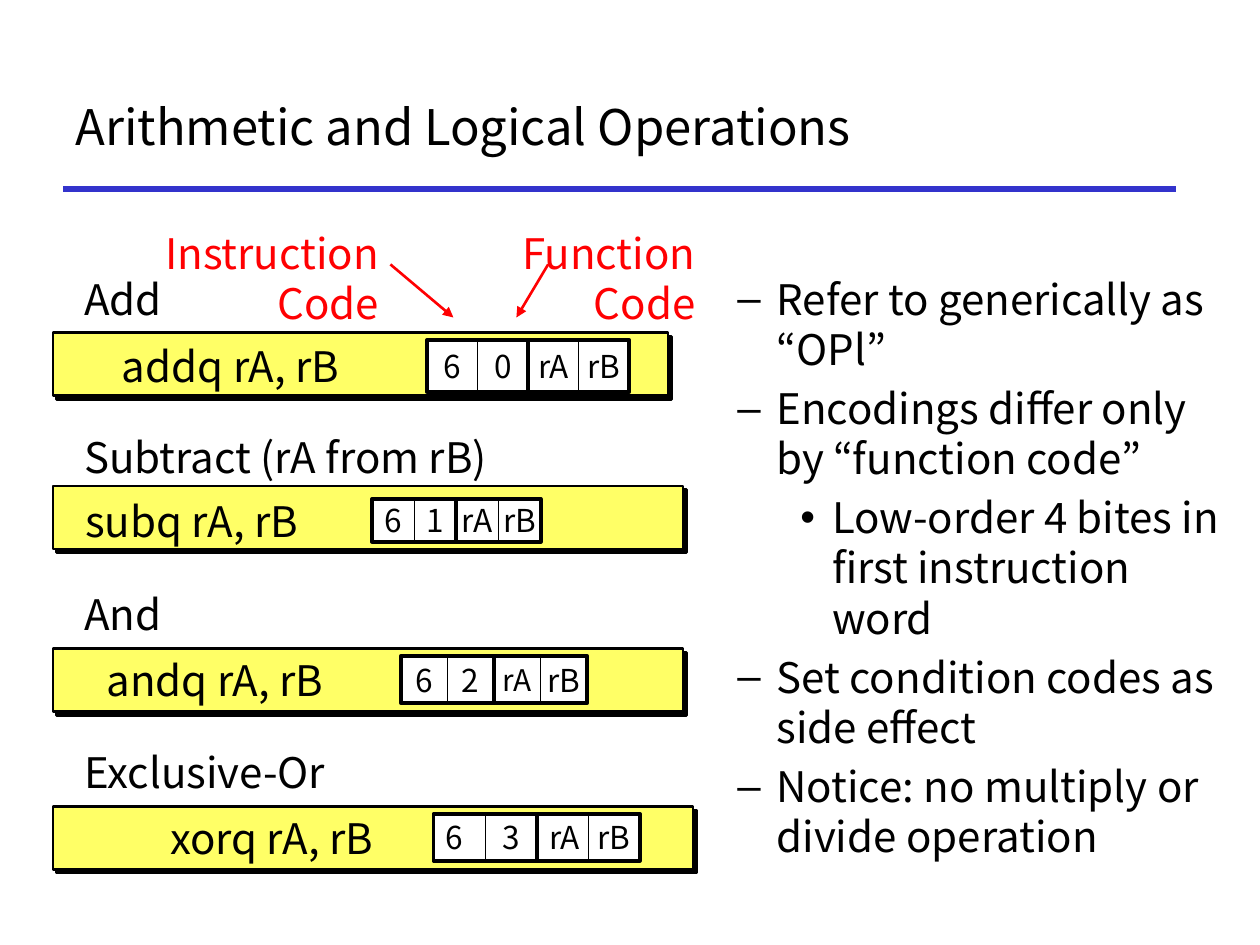
from dataclasses import dataclass

from lxml.etree import SubElement as Sub
from pptx import Presentation
from pptx.dml.color import RGBColor as Rgb
from pptx.enum.shapes import MSO_CONNECTOR as Conn, MSO_SHAPE as Shape
from pptx.enum.text import MSO_ANCHOR as Anchor, MSO_AUTO_SIZE as Fit, PP_ALIGN as Align
from pptx.oxml.ns import qn
from pptx.util import Cm, Pt


@dataclass(frozen=True)
class Theme:
    font: str = "Noto Sans CJK KR"
    ink: Rgb = Rgb(0, 0, 0)
    paper: Rgb = Rgb(255, 255, 255)
    bar: Rgb = Rgb(0xFF, 0xFF, 0x66)
    rule: Rgb = Rgb(0x33, 0x33, 0xCC)
    note: Rgb = Rgb(0xFF, 0x00, 0x02)
    head: float = 28
    text: float = 24
    code: float = 18
    gap: float = 4.8


@dataclass(frozen=True)
class Op:
    label: str
    span: float          # label width
    box: tuple           # bar: left, top, width, height
    code: str
    text_x: float        # offsets inside the bar
    cell_x: float
    cell_y: float
    cell: tuple          # cell width, height
    digit: str
    left: tuple = ()     # cells set flush left
    code_left: bool = True
    reg_a: float = Theme.code


THEME = Theme()
OPS = [
    Op("Add", 1.9, (1.07, 6.71, 12.4, 1.27), "addq rA, rB",
       1.14, 7.54, 0.15, (1.02, 1.04), "0"),
    Op("Subtract (rA from rB)", 8.41, (1.07, 9.8, 12.7, 1.27), "subq rA, rB",
       0.4, 6.43, 0.26, (0.85, 0.86), "1", left=(1,)),
    Op("And", 1.85, (1.07, 13.08, 12.7, 1.27), "andq rA, rB",
       0.83, 7.01, 0.15, (0.94, 0.94), "2", reg_a=17),
    Op("Exclusive-Or", 5.41, (1.07, 16.26, 12.9, 1.27), "xorq rA, rB",
       1.14, 7.67, 0.15, (1.04, 0.94), "3", left=(0, 2), code_left=False),
]
POINTS = [
    (1, "Refer to generically as “OPl”"),
    (1, "Encodings differ only by “function code”"),
    (2, "Low-order 4 bites in first instruction word"),
    (1, "Set condition codes as side effect"),
    (1, "Notice: no multiply or divide operation"),
]
# Level: bullet, indent, hanging part
LEVELS = {1: ("–", 2.06, 0.79), 2: ("•", 3.18, 0.64)}


def cms(*vals):
    return [Cm(v) for v in vals]


def style(para, size, color=THEME.ink, align=Align.LEFT):
    para.alignment = align
    font = para.font
    font.name, font.size, font.color.rgb = THEME.font, Pt(size), color


def write(shape, text, size, color=THEME.ink, align=Align.LEFT,
          pad=0.25, anchor=Anchor.MIDDLE):
    frame = shape.text_frame
    frame.word_wrap = False
    frame.vertical_anchor = anchor
    frame.margin_left = frame.margin_right = Cm(pad)
    frame.margin_top = frame.margin_bottom = Cm(0.13)
    frame.text = text
    style(frame.paragraphs[0], size, color, align)


def place(shape, box):
    shape.left, shape.top, shape.width, shape.height = cms(*box)


def rect(shapes, box, fill, width):
    shape = shapes.add_shape(Shape.RECTANGLE, *cms(*box))
    shape.shadow.inherit = False
    if fill is None:
        shape.fill.background()
    else:
        shape.fill.solid()
        shape.fill.fore_color.rgb = fill
    shape.line.color.rgb = THEME.ink
    shape.line.width = Pt(width)
    return shape


def line(shapes, ends, color, width, arrow=False):
    conn = shapes.add_connector(Conn.STRAIGHT, *cms(*ends))
    conn.line.color.rgb = color
    conn.line.width = Pt(width)
    if arrow:
        Sub(conn.line._get_or_add_ln(), qn("a:tailEnd"), type="triangle")
    Sub(conn._element.spPr, qn("a:effectLst"))


def drop(shape):
    """Hard black shadow down to the right."""
    effects = shape._element.spPr.find(qn("a:effectLst"))
    shade = Sub(effects, qn("a:outerShdw"), dist=str(Pt(2.8)),
                dir="2700000", algn="ctr", rotWithShape="0")
    Sub(shade, qn("a:srgbClr"), val=str(THEME.ink))


def title(slide, box):
    line(slide.shapes, (1.27, 3.81, 23.7, 3.81), THEME.rule, 3)
    head = slide.shapes.title
    place(head, box)
    head.text_frame.text = "Arithmetic and Logical Operations"
    head.text_frame.vertical_anchor = Anchor.MIDDLE
    style(head.text_frame.paragraphs[0], THEME.head)


def points(slide, box):
    body = slide.placeholders[1]
    place(body, box)
    frame = body.text_frame
    frame.auto_size = Fit.NONE
    frame.text = "\n".join(text for _, text in POINTS)
    for i, (para, (level, _)) in enumerate(zip(frame.paragraphs, POINTS)):
        mark, indent, hang = LEVELS[level]
        para.level = level
        para.space_before = Pt(THEME.gap if i else 0)
        props = para._p.get_or_add_pPr()
        props.set("marL", str(Cm(indent)))
        props.set("indent", str(-Cm(hang)))
        Sub(props, qn("a:buChar"), char=mark)
        style(para, THEME.text)


def label(shapes, box, text, color=THEME.ink, align=Align.LEFT):
    write(shapes.add_textbox(*cms(*box)), text, THEME.text, color, align,
          pad=0.13, anchor=Anchor.TOP)


def encode(slide, op):
    """Bar with the instruction and its four code cells."""
    x, y, _, _ = op.box
    drop(rect(slide.shapes, op.box, THEME.bar, 1.5))
    parts = slide.shapes.add_group_shape().shapes
    wide, high = op.cell
    left, top = x + op.cell_x, y + op.cell_y
    start = x + op.text_x
    code = parts.add_textbox(*cms(start, top, left - start, high))
    write(code, op.code, THEME.text,
          align=Align.LEFT if op.code_left else Align.CENTER)
    for i, text in enumerate(("6", op.digit, "rA", "rB")):
        cell = rect(parts, (left + i * wide, top, wide, high), THEME.paper, 0.5)
        write(cell, text, op.reg_a if text == "rA" else THEME.code,
              align=Align.LEFT if i in op.left else Align.CENTER)
        if i % 2:  # heavy frame around each byte
            rect(parts, (left + (i - 1) * wide, top, 2 * wide, high), None, 2.25)


def note(slide, box, text, ends):
    """Red label with its arrow."""
    parts = slide.shapes.add_group_shape().shapes
    line(parts, ends, THEME.note, 1.5, arrow=True)
    label(parts, box, text, THEME.note, Align.RIGHT)


def main():
    deck = Presentation()
    deck.slide_width, deck.slide_height = cms(25.4, 19.05)
    slide = deck.slides.add_slide(deck.slide_layouts[1])
    title(slide, (1.27, 1.27, 22.43, 2.54))
    points(slide, (13.34, 5.38, 11.81, 12.83))
    for op in OPS:
        encode(slide, op)
    for i, op in enumerate(OPS):
        label(slide.shapes, (1.57, 5.38 + 3.18 * i, op.span, 1.3), op.label)
    note(slide, (1.24, 4.45, 6.53, 1.3), "Instruction\vCode", (7.87, 5.33, 9.14, 6.4))
    note(slide, (8.28, 4.45, 5.87, 1.3), "Function\vCode", (11.05, 5.33, 10.41, 6.4))
    deck.save("out.pptx")


if __name__ == "__main__":
    main()
